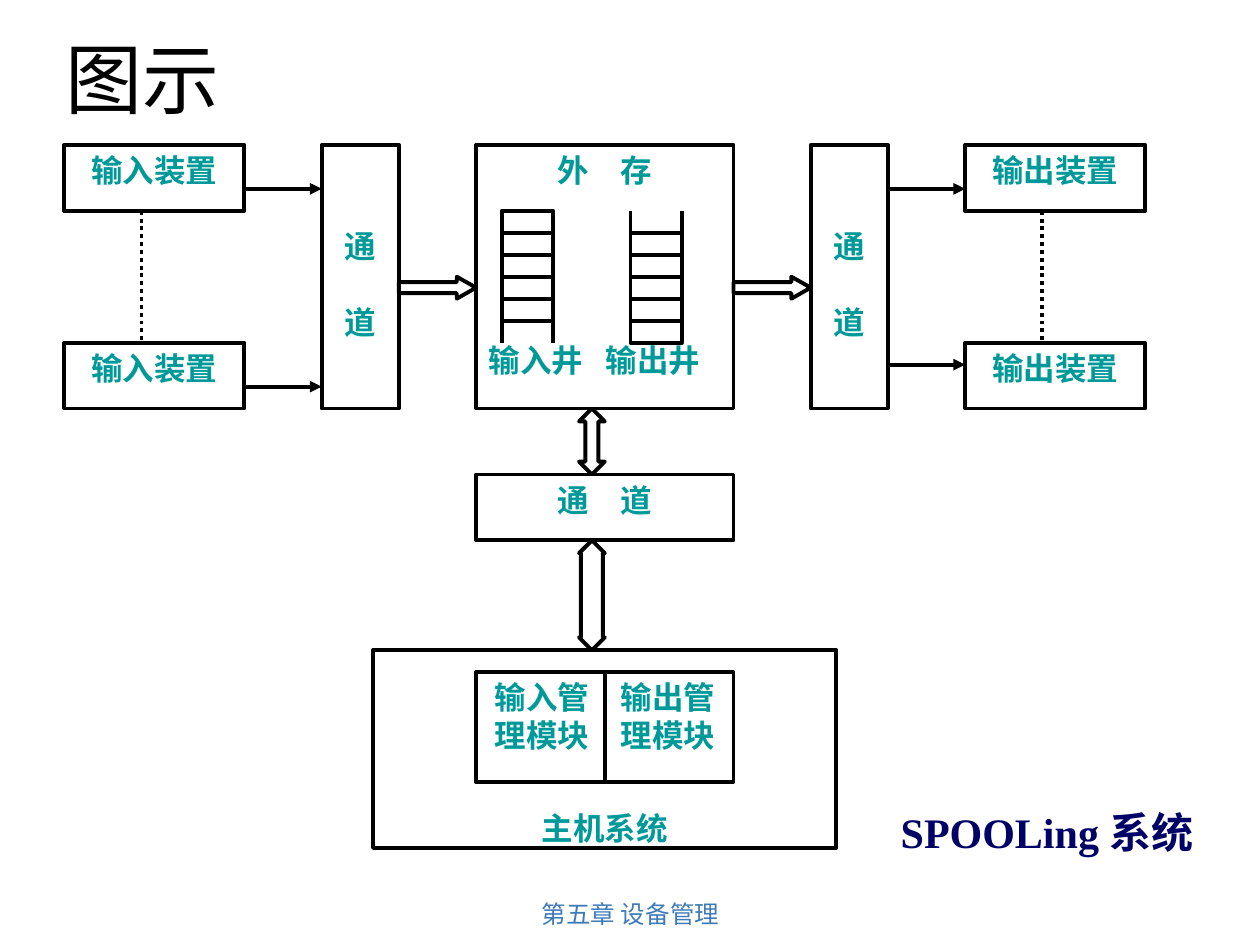
from lxml.etree import SubElement
from pptx import Presentation
from pptx.dml.color import RGBColor
from pptx.enum.dml import MSO_LINE
from pptx.enum.shapes import MSO_CONNECTOR, MSO_SHAPE
from pptx.enum.text import MSO_ANCHOR, PP_ALIGN
from pptx.oxml.ns import qn
from pptx.util import Inches, Pt

BLACK = RGBColor(0, 0, 0)
INK = RGBColor(1, 0, 0)
WHITE = RGBColor(255, 255, 255)
TEAL = RGBColor(0, 0x99, 0x99)
NAVY = RGBColor(0, 0, 0x66)
BLUE = RGBColor(0x3D, 0x7A, 0xB7)
SERIF = "Times New Roman"
LEFT, TOP = 0.51, 1.15
WIDE, DEEP = 8.58 / 42, 5.58 / 32
STROKE = Pt(2.25)


def across(col):
    """Return the horizontal place of a grid column."""
    return Inches(LEFT + col * WIDE)


def down(row):
    """Return the vertical place of a grid row."""
    return Inches(TOP + row * DEEP)


def write(frame, text, size, color, face=SERIF, bold=True, align=PP_ALIGN.CENTER):
    """Fill a text frame and format all its runs."""
    frame.word_wrap = True
    frame.text = text
    for para in frame.paragraphs:
        para.alignment = align
        for run in para.runs:
            font = run.font
            font.size, font.bold, font.name = Pt(size), bold, face
            font.color.rgb = color


def block(slide, col, row, cols, rows, text="", kind=MSO_SHAPE.RECTANGLE, fill=True):
    """Add an outlined shape on the grid and return it."""
    shape = slide.shapes.add_shape(
        kind, across(col), down(row), across(col + cols) - across(col), down(row + rows) - down(row))
    shape.shadow.inherit = False
    if fill:
        shape.fill.solid()
        shape.fill.fore_color.rgb = WHITE
    else:
        shape.fill.background()
    shape.line.color.rgb = BLACK
    shape.line.width = STROKE
    shape.text_frame.vertical_anchor = MSO_ANCHOR.TOP
    if text:
        write(shape.text_frame, text, 18, TEAL)
    return shape


def arrow(slide, kind, col, row, cols, rows, head):
    """Add a block arrow with the given head length."""
    shape = block(slide, col, row, cols, rows, kind=kind)
    shape.adjustments[0] = 0.5
    shape.adjustments[1] = head


def line(slide, start, end, tip=False, dots=False):
    """Add a straight line between two grid points and return it."""
    link = slide.shapes.add_connector(
        MSO_CONNECTOR.STRAIGHT, across(start[0]), down(start[1]), across(end[0]), down(end[1]))
    link.line.color.rgb = BLACK
    link.line.width = STROKE
    if dots:
        link.line.dash_style = MSO_LINE.ROUND_DOT
    if tip:
        SubElement(link.line._get_or_add_ln(), qn("a:tailEnd"), type="triangle")
    SubElement(link._element.spPr, qn("a:effectLst"))
    return link


def channel(slide, col):
    """Add an upright channel box."""
    frame = block(slide, col, 0, 3, 12, "通\n道").text_frame
    frame.margin_top = Inches(0.65)
    frame.paragraphs[1].space_before = Pt(21.7)


def device(slide, col, text, dot):
    """Add a pair of devices joined by a dotted line."""
    for row in (0, 9):
        block(slide, col, row, 7, 3, text)
    line(slide, (dot, 3), (dot, 9), dots=True)


def well(slide, col, top, leg):
    """Add a five-cell well with open legs starting at row leg."""
    block(slide, col, top, 2, 5)
    for row in range(top + 1, top + 5):
        line(slide, (col, row), (col + 2, row))
    for side in (col, col + 2):
        line(slide, (side, leg), (side, leg + 1))


def store(slide):
    """Add the outer storage frame with its title and well labels."""
    frame = block(slide, 16, 0, 10, 12, "外　存\n输入井\t输出井", fill=False).text_frame
    label = frame.paragraphs[1]
    label.alignment = PP_ALIGN.LEFT
    label.space_before = Pt(87)
    tabs = SubElement(label._p.get_or_add_pPr(), qn("a:tabLst"))
    SubElement(tabs, qn("a:tab"), pos=str(Inches(0.93)), algn="l")


def host(slide):
    """Add the host system with its two modules."""
    frame = block(slide, 12, 23, 18, 9, "主机系统").text_frame
    frame.vertical_anchor = MSO_ANCHOR.BOTTOM
    frame.margin_bottom = Inches(0.01)
    pair = block(slide, 16, 24, 10, 5, "输入管　输出管\n理模块　理模块")
    split = line(slide, (21, 24), (21, 29))
    split.begin_connect(pair, 0)
    split.end_connect(pair, 2)


def note(slide, place, text, size, color, anchor=MSO_ANCHOR.TOP, **style):
    """Add a free text box and return its frame."""
    frame = slide.shapes.add_textbox(*map(Inches, place)).text_frame
    frame.vertical_anchor = anchor
    write(frame, text, size, color, **style)
    return frame


def main():
    """Build the slide and save it."""
    deck = Presentation()
    deck.slide_width, deck.slide_height = Inches(10), Inches(7.5)
    slide = deck.slides.add_slide(deck.slide_layouts[6])
    device(slide, 0, "输入装置", 3)
    device(slide, 35, "输出装置", 38)
    for col in (10, 29):
        channel(slide, col)
    for col, row in ((7, 2), (7, 11), (32, 2), (32, 10)):
        line(slide, (col, row), (col + 3, row), tip=True)
    well(slide, 17, 3, 8)
    well(slide, 22, 4, 3)
    for col in (13, 26):
        arrow(slide, MSO_SHAPE.RIGHT_ARROW, col, 6, 3, 1, 0.88)
    block(slide, 16, 15, 10, 3, "通　道")
    host(slide)
    for row, rows, head in ((12, 3, 0.51), (18, 5, 0.85)):
        arrow(slide, MSO_SHAPE.UP_DOWN_ARROW, 20, row, 1, rows, head)
    store(slide)
    note(slide, (7.05, 6.35, 2.69, 0.5), "SPOOLing 系统", 24, NAVY, align=PP_ALIGN.LEFT)
    title = note(slide, (0.42, 0.25, 8.52, 0.76), "图示", 44, INK, MSO_ANCHOR.BOTTOM,
                 face="Arial Narrow", bold=False, align=PP_ALIGN.LEFT)
    title.paragraphs[0].line_spacing = 0.7
    note(slide, (3.42, 7, 3.17, 0.5), "第五章 设备管理", 14, BLUE, MSO_ANCHOR.MIDDLE,
         face="Arial", bold=False)
    deck.save("out.pptx")


if __name__ == "__main__":
    main()
